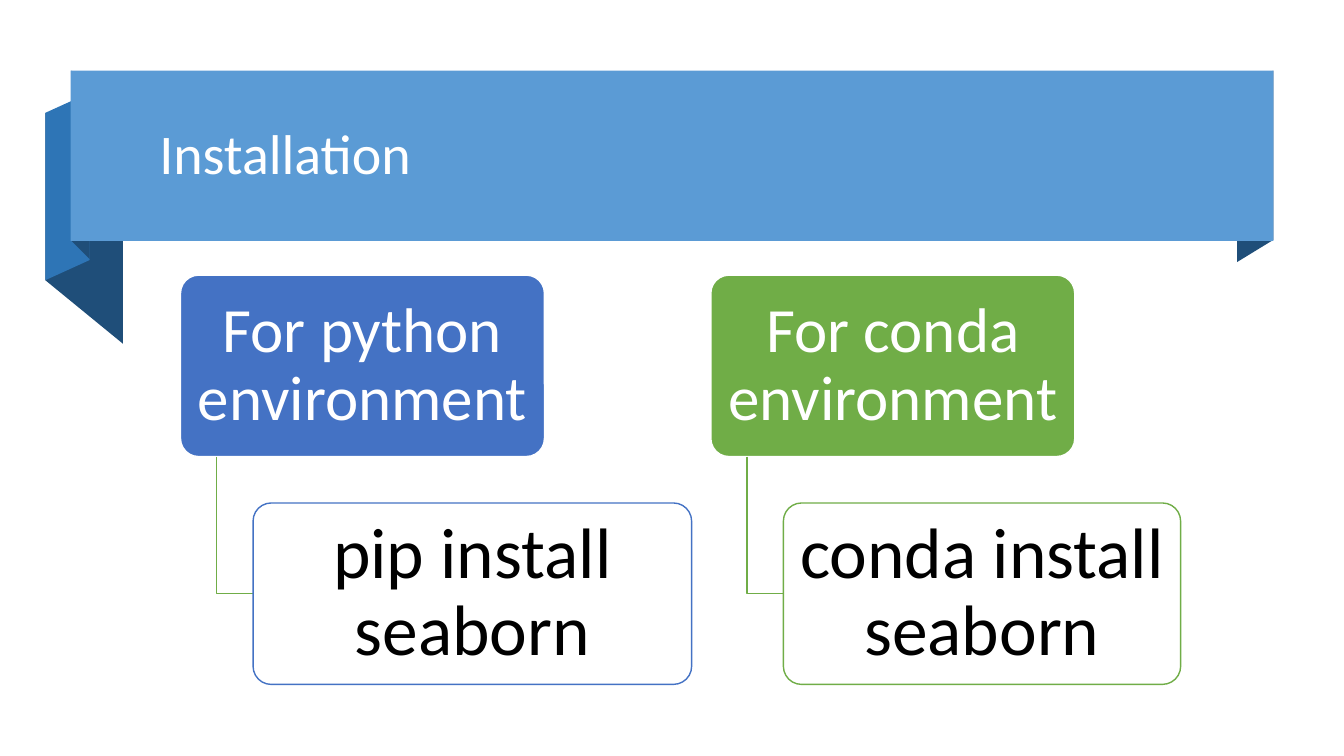
from dataclasses import dataclass

from pptx import Presentation
from pptx.dml.color import RGBColor
from pptx.enum.shapes import MSO_SHAPE
from pptx.enum.text import MSO_ANCHOR, MSO_AUTO_SIZE, PP_ALIGN
from pptx.util import Inches, Pt

RECT = MSO_SHAPE.RECTANGLE
ROUND = MSO_SHAPE.ROUNDED_RECTANGLE
MIDDLE = MSO_ANCHOR.MIDDLE
LEFT, CENTER = PP_ALIGN.LEFT, PP_ALIGN.CENTER
NO_FIT = MSO_AUTO_SIZE.NONE


@dataclass(frozen=True)
class Theme:
    font: str = "Calibri"
    white: str = "FFFFFF"
    black: str = "000000"
    band: str = "5B9BD5"
    fold: str = "2E75B6"
    dark: str = "1F4E79"
    blue: str = "4472C4"
    green: str = "70AD47"
    title: int = 40
    head: int = 45
    code: int = 51


THEME = Theme()

# Ribbon folds, from back to front: colour and corner points
FOLDS = [
    (THEME.dark, [(12.63, 2.38), (12.27, 2.6), (12.27, 0.91), (12.63, 0.7)]),
    (THEME.dark, [(1.22, 3.41), (0.45, 2.78), (0.45, 1.12), (1.22, 1.75)]),
    (THEME.fold, [(0.89, 2.58), (0.45, 2.78), (0.45, 1.12), (0.89, 0.92)]),
    (THEME.dark, [(0.89, 2.57), (0.71, 2.39), (0.71, 0.7), (0.89, 0.89)]),
]

# Branches: left edge, accent, heading, command, command box width
BRANCHES = [
    (1.79, THEME.blue, "For python environment", "pip install seaborn", 4.35),
    (7.05, THEME.green, "For conda environment", "conda install seaborn", 3.94),
]
HEAD_TOP, CODE_TOP = 2.73, 4.99
HEAD_WIDTH, BOX_HEIGHT = 3.61, 1.8
STEP = 0.36


def paint(shape, fill=None, line=None):
    """Set fill and outline; None leaves either one out."""
    shape.shadow.inherit = False
    if fill:
        shape.fill.solid()
        shape.fill.fore_color.rgb = RGBColor.from_string(fill)
    else:
        shape.fill.background()
    if line:
        shape.line.color.rgb = RGBColor.from_string(line)
        shape.line.width = Pt(1)
    else:
        shape.line.fill.background()


def write(shape, text, size, color, align, inset):
    """Fill a shape's frame with one formatted run."""
    frame = shape.text_frame
    frame.word_wrap = True
    frame.auto_size = NO_FIT
    frame.vertical_anchor = MIDDLE
    frame.margin_left = frame.margin_right = Inches(inset[0])
    frame.margin_top = frame.margin_bottom = Inches(inset[1])
    para = frame.paragraphs[0]
    para.alignment = align
    para.line_spacing = 0.9
    run = para.add_run()
    run.text = text
    run.font.name = THEME.font
    run.font.size = Pt(size)
    run.font.color.rgb = RGBColor.from_string(color)


def add_path(slide, points, fill=None, line=None):
    """Draw a closed outline when filled, an open one otherwise."""
    spots = [(Inches(x), Inches(y)) for x, y in points]
    pen = slide.shapes.build_freeform(*spots[0])
    pen.add_line_segments(spots[1:], close=bool(fill))
    paint(pen.convert_to_shape(), fill, line)


def add_box(slide, kind, left, top, width, height, fill, line=None):
    box = slide.shapes.add_shape(
        kind, Inches(left), Inches(top), Inches(width), Inches(height))
    paint(box, fill, line)
    return box


def add_ribbon(slide):
    for color, points in FOLDS:
        add_path(slide, points, fill=color)
    add_box(slide, RECT, 0.7, 0.7, 11.93, 1.69, THEME.band)


def add_title(slide, text):
    title = slide.shapes.title
    title.left, title.top = Inches(1.48), Inches(0.83)
    title.width, title.height = Inches(10.94), Inches(1.45)
    write(title, text, THEME.title, THEME.white, LEFT, (0.1, 0.05))
    # Bring the title in front of the ribbon
    title.element.getparent().append(title.element)


def add_card(slide, left, top, width, fill, line):
    card = add_box(slide, ROUND, left, top, width, BOX_HEIGHT, fill, line)
    card.adjustments[0] = 0.1
    return card


def add_branch(slide, left, accent, head, code, width):
    # Heading card
    card = add_card(slide, left, HEAD_TOP, HEAD_WIDTH, accent, THEME.white)
    write(card, head, THEME.head, THEME.white, CENTER, (0.09, 0.06))
    # Elbow from the heading down to the command
    stem, edge = left + STEP, left + 2 * STEP
    base, mid = HEAD_TOP + BOX_HEIGHT, CODE_TOP + BOX_HEIGHT / 2
    add_path(slide, [(stem, base), (stem, mid), (edge, mid)], line=THEME.green)
    # Command card
    card = add_card(slide, edge, CODE_TOP, width, THEME.white, accent)
    write(card, code, THEME.code, THEME.black, CENTER, (0.11, 0.07))


def main():
    deck = Presentation()
    deck.slide_width, deck.slide_height = Inches(13.33), Inches(7.5)
    slide = deck.slides.add_slide(deck.slide_layouts[5])
    add_ribbon(slide)
    add_title(slide, "Installation")
    for branch in BRANCHES:
        add_branch(slide, *branch)
    deck.save("out.pptx")


if __name__ == "__main__":
    main()
